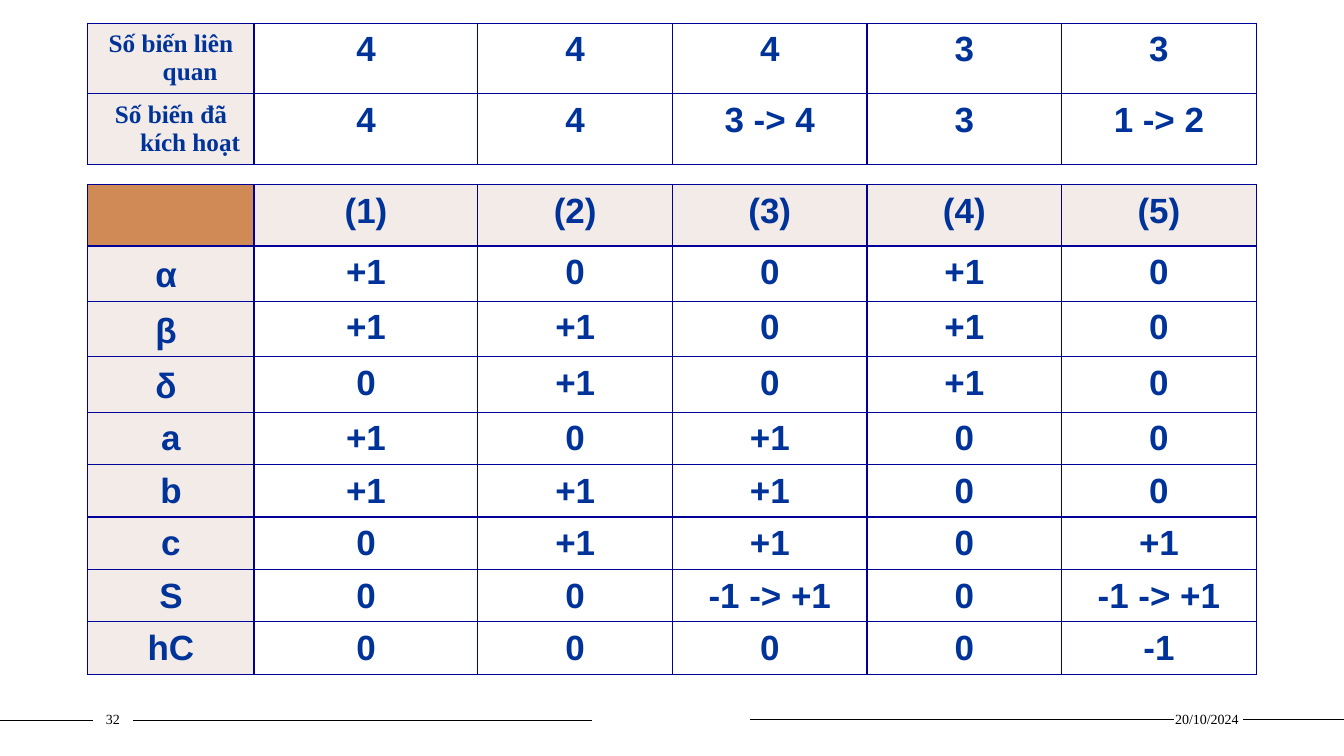
from dataclasses import dataclass

from lxml.etree import SubElement
from pptx import Presentation
from pptx.dml.color import RGBColor as RGB
from pptx.enum.shapes import MSO_CONNECTOR as CONN
from pptx.enum.text import MSO_ANCHOR as ANCHOR, PP_ALIGN as ALIGN
from pptx.oxml.ns import qn
from pptx.util import Inches, Pt


@dataclass(frozen=True)
class Theme:
    text: RGB = RGB(0x00, 0x33, 0x99)
    border: str = "000099"
    label: RGB = RGB(0xF3, 0xEB, 0xE8)
    corner: RGB = RGB(0xD0, 0x8A, 0x55)
    black: RGB = RGB(0, 0, 0)
    sans: str = "Arial"
    serif: str = "Times New Roman"
    value_size: int = 25
    label_size: int = 18
    footer_size: int = 10


T = Theme()
COLS = [1.65, 2.22] + [1.93] * 4
HANG = Inches(0.38)

COUNTS = [
    ["Số biến liên quan", "4", "4", "4", "3", "3"],
    ["Số biến đã kích hoạt", "4", "4", "3 -> 4", "3", "1 -> 2"],
]
EFFECTS = [
    ["", "(1)", "(2)", "(3)", "(4)", "(5)"],
    ["α ", "+1", "0", "0", "+1", "0"],
    ["β ", "+1", "+1", "0", "+1", "0"],
    ["δ ", "0", "+1", "0", "+1", "0"],
    ["a", "+1", "0", "+1", "0", "0"],
    ["b", "+1", "+1", "+1", "0", "0"],
    ["c", "0", "+1", "+1", "0", "+1"],
    ["S", "0", "0", "-1 -> +1", "0", "-1 -> +1"],
    ["hC", "0", "0", "0", "0", "-1"],
]


def style_text(p, font, size, color, bold=False):
    p.alignment = ALIGN.CENTER
    for r in p.runs:
        r.font.name, r.font.size = font, Pt(size)
        r.font.color.rgb, r.font.bold = color, bold


def add_borders(cell):
    tc_pr = cell._tc.get_or_add_tcPr()
    for side in ("a:lnL", "a:lnR", "a:lnT", "a:lnB"):
        ln = SubElement(tc_pr, qn(side), w=str(Pt(1)))
        fill = SubElement(ln, qn("a:solidFill"))
        SubElement(fill, qn("a:srgbClr"), val=T.border)


def fill_cell(cell, text, color, font, size):
    # The narrow side and bottom margins keep labels on two lines and rows low
    cell.margin_left = cell.margin_right = Inches(0.12)
    cell.margin_top, cell.margin_bottom = Inches(0.07), Inches(0.03)
    add_borders(cell)
    if color is None:
        cell.fill.background()
    else:
        cell.fill.solid()
        cell.fill.fore_color.rgb = color
    p = cell.text_frame.paragraphs[0]
    p.text = text
    p_pr = p._p.get_or_add_pPr()
    p_pr.set("marL", str(HANG))
    p_pr.set("indent", str(-HANG))
    style_text(p, font, size, T.text, bold=True)


def add_grid(s, x, y, rows, heights, label_font, label_size, header=False):
    """Table with shaded labels in the first column and, if asked, the first row."""
    table = s.shapes.add_table(len(rows), len(COLS), Inches(x), Inches(y),
                               Inches(sum(COLS)), Inches(sum(heights))).table
    table.first_row = table.horz_banding = False
    for col, width in zip(table.columns, COLS):
        col.width = Inches(width)
    for i, (row, height) in enumerate(zip(rows, heights)):
        table.rows[i].height = Inches(height)
        for j, text in enumerate(row):
            is_label = j == 0 or (header and i == 0)
            color = (T.label if text else T.corner) if is_label else None
            font, size = (label_font, label_size) if j == 0 else (T.sans, T.value_size)
            fill_cell(table.cell(i, j), text, color, font, size)
    return table


def add_counts(s, x, y):
    add_grid(s, x, y, COUNTS, [0.69] * 2, T.serif, T.label_size)


def add_effects(s, x, y):
    heights = [0.61] + [0.55] * 3 + [0.52] * 5
    table = add_grid(s, x, y, EFFECTS, heights, T.sans, T.value_size, header=True)
    # Greek labels sit slightly lower than the values beside them
    for i in range(1, 4):
        table.cell(i, 0).margin_top = Inches(0.1)


def add_footer(s, y):
    # Rules
    for x1, x2, dy in [(0, 0.92, 0.15), (1.32, 5.87, 0.15),
                       (7.44, 11.64, 0.14), (12.33, 13.33, 0.14)]:
        rule = s.shapes.add_connector(CONN.STRAIGHT, Inches(x1), Inches(y + dy),
                                      Inches(x2), Inches(y + dy))
        rule.line.color.rgb = T.black
        rule.line.width = Pt(1)
        SubElement(rule._element.spPr, qn("a:effectLst"))
    # Page number and date
    for x, width, text in [(0.92, 0.4, "32"), (11.62, 0.7, "20/10/2024")]:
        tf = s.shapes.add_textbox(Inches(x), Inches(y), Inches(width),
                                  Inches(0.27)).text_frame
        tf.word_wrap = True
        tf.vertical_anchor = ANCHOR.MIDDLE
        tf.margin_left = tf.margin_right = 0
        tf.text = text
        style_text(tf.paragraphs[0], T.serif, T.footer_size, T.black)


def main():
    prs = Presentation()
    prs.slide_width, prs.slide_height = Inches(13.33), Inches(7.5)
    s = prs.slides.add_slide(prs.slide_layouts[6])
    add_footer(s, 7)
    add_effects(s, 0.87, 1.83)
    add_counts(s, 0.87, 0.23)
    prs.save("out.pptx")


if __name__ == "__main__":
    main()
